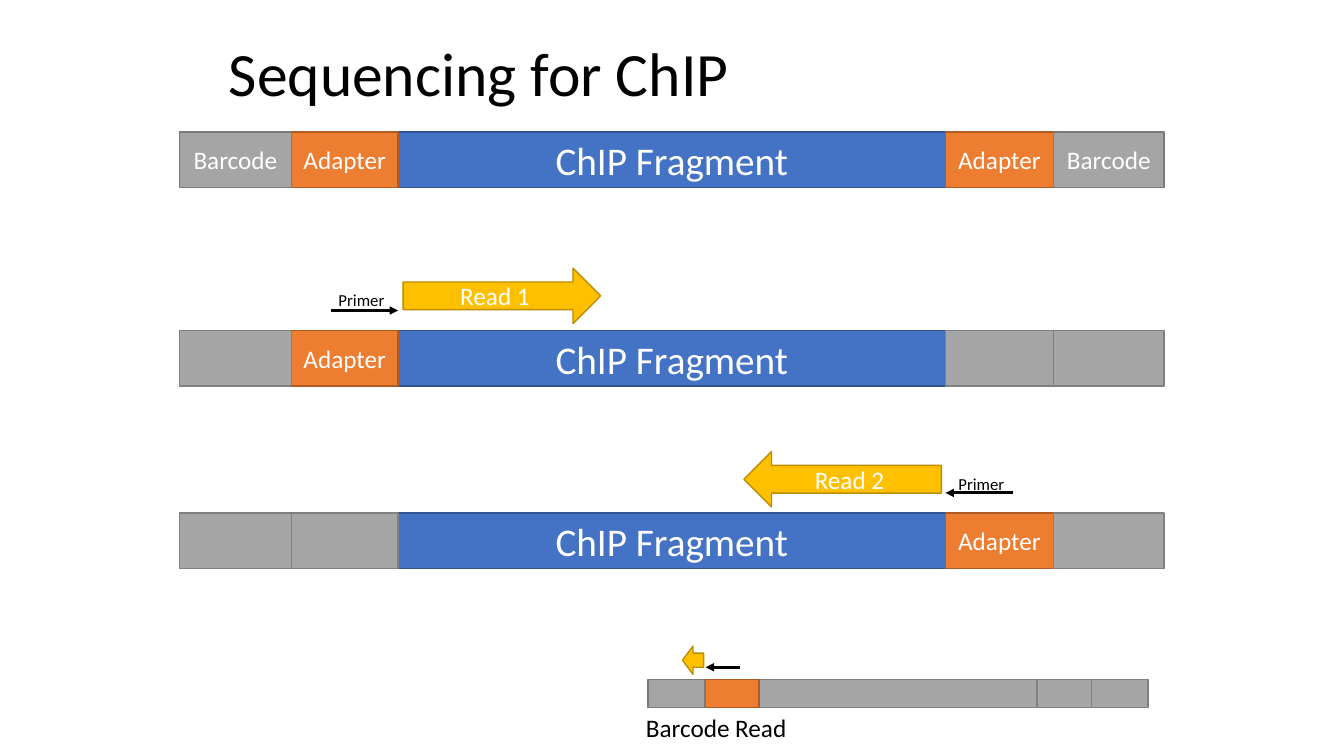
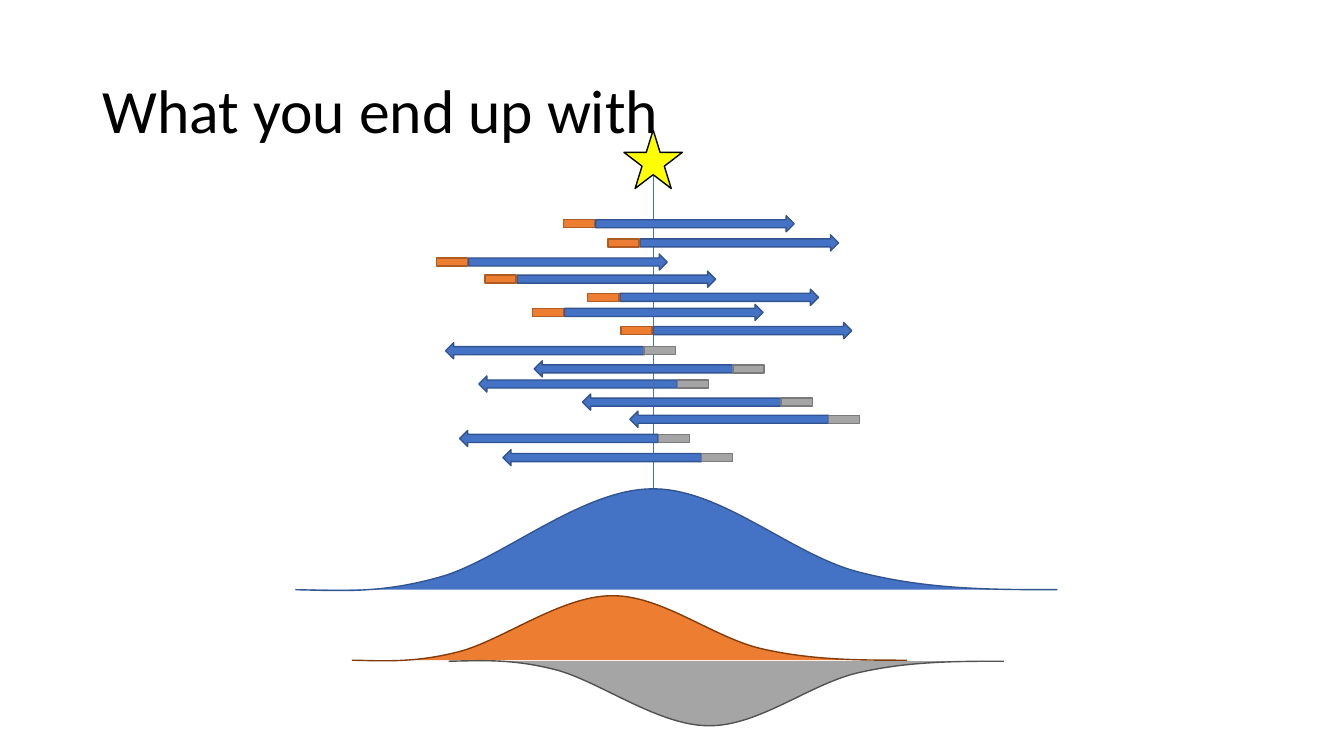
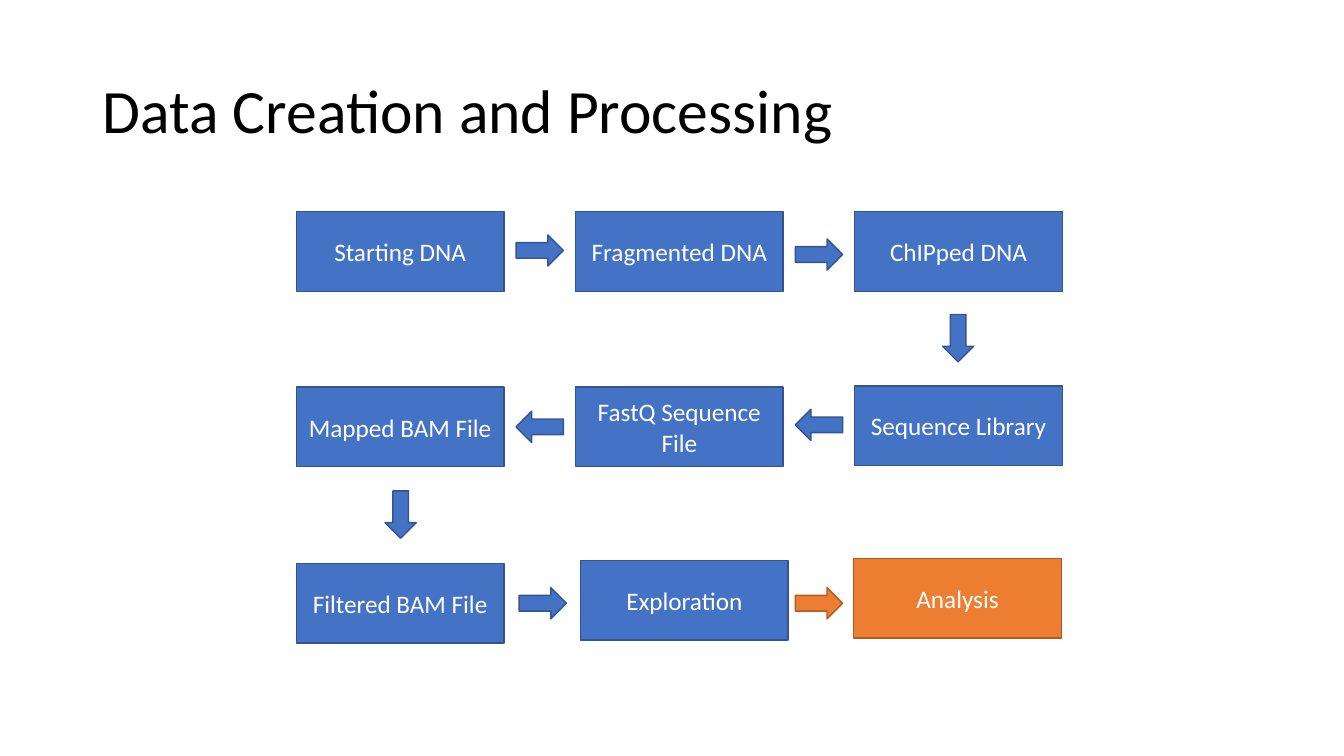
from dataclasses import dataclass
from typing import Any

from lxml.etree import SubElement
from pptx import Presentation
from pptx.dml.color import RGBColor
from pptx.enum.shapes import MSO_CONNECTOR, MSO_SHAPE
from pptx.enum.text import MSO_ANCHOR, MSO_AUTO_SIZE, PP_ALIGN
from pptx.oxml.ns import qn
from pptx.slide import Slide
from pptx.util import Inches, Pt

RECT, RIGHT, LEFT = MSO_SHAPE.RECTANGLE, MSO_SHAPE.RIGHT_ARROW, MSO_SHAPE.LEFT_ARROW
BLACK, WHITE = "000000", "FFFFFF"


@dataclass(frozen=True)
class Tone:
    """Fill and outline colours of a kind of shape."""

    fill: str
    line: str


BLUE = Tone("4472C4", "325491")
ORANGE = Tone("ED7D31", "AF5C24")
GRAY = Tone("A5A5A5", "7A7A7A")
FADED = Tone("A6A6A6", "808080")
GOLD = Tone("FFC000", "BD8E00")
YELLOW = Tone("FFFF00", BLACK)


@dataclass(frozen=True)
class Segment:
    """One piece of a sequenced strand."""

    tone: Tone = FADED
    text: str = ""
    size: int = 18


@dataclass(frozen=True)
class Strand:
    """A row of five segments."""

    left: float
    top: float
    width: float
    height: float
    segments: tuple[Segment, ...]


@dataclass(frozen=True)
class Item:
    """A preset shape with its place, tone and label."""

    left: float
    top: float
    width: float
    height: float
    kind: MSO_SHAPE = RECT
    tone: Tone = BLUE
    text: str = ""
    size: int = 18
    rotation: int = 0


@dataclass(frozen=True)
class Bell:
    """A peak drawn from its left foot; a negative height points down."""

    left: float
    base: float
    width: float
    height: float
    tone: Tone


BARCODE = Segment(GRAY, "Barcode")
ADAPTER = Segment(ORANGE, "Adapter")
FRAGMENT = Segment(BLUE, "ChIP Fragment", 28)
NONE = Segment()
EDGES = (0, 1.11, 2.17, 7.6, 8.67, 9.77)
STRANDS = (
    Strand(1.78, 1.31, 9.77, 0.55, (BARCODE, ADAPTER, FRAGMENT, ADAPTER, BARCODE)),
    Strand(1.78, 3.28, 9.77, 0.55, (NONE, ADAPTER, FRAGMENT, NONE, NONE)),
    Strand(1.78, 5.09, 9.77, 0.55, (NONE, NONE, FRAGMENT, ADAPTER, NONE)),
    Strand(6.43, 6.74, 4.96, 0.28, (Segment(GRAY), Segment(ORANGE), NONE, NONE, NONE)),
)
READ_ARROWS = (
    Item(4, 2.66, 1.96, 0.55, RIGHT, GOLD, "Read 1"),
    Item(7.38, 4.48, 1.96, 0.55, LEFT, GOLD, "Read 2"),
    Item(6.77, 6.41, 0.21, 0.28, LEFT, GOLD),
)
PRIMERS = ((3.28, 3.95, 3.08), (10.05, 9.38, 4.89), (7.34, 7, 6.62))
LABELS = (
    ("Primer", 3.26, 2.83, 0.66, 0.3, 12),
    ("Primer", 9.41, 4.65, 0.66, 0.3, 12),
    ("Barcode Read", 6.31, 7.02, 1.67, 0.4, 18),
)

FORWARD = ((5.91, 2.14), (6.35, 2.33), (4.65, 2.52), (5.13, 2.69),
           (6.15, 2.87), (5.6, 3.02), (6.48, 3.2))
REVERSE = ((4.42, 3.4), (5.3, 3.58), (4.75, 3.73), (5.78, 3.91),
           (6.25, 4.08), (4.56, 4.27), (4.99, 4.46))
CURVE = ((0, 0), (0.46, -0.01), (0.86, -0.04), (1.45, 0.13), (2.04, 0.3),
         (2.85, 1), (3.54, 1), (4.23, 1.01), (4.94, 0.33), (5.61, 0.17),
         (6.28, 0), (6.92, 0), (7.56, 0))
BELLS = (
    Bell(2.93, 5.85, 7.56, 1, BLUE),
    Bell(3.49, 6.55, 5.51, 0.64, Tone("ED7D31", "843C0B")),
    Bell(4.45, 6.56, 5.51, -0.64, Tone("A5A5A5", "525252")),
)

STEPS = (
    ("Starting DNA", 2.94, 2.1, BLUE),
    ("Fragmented DNA", 5.71, 2.1, BLUE),
    ("ChIPped DNA", 8.48, 2.1, BLUE),
    ("Sequence Library", 8.48, 3.83, BLUE),
    ("FastQ Sequence File", 5.71, 3.84, BLUE),
    ("Mapped BAM File", 2.94, 3.84, BLUE),
    ("Filtered BAM File", 2.94, 5.59, BLUE),
    ("Exploration", 5.76, 5.56, BLUE),
    ("Analysis", 8.47, 5.54, ORANGE),
)
FLOW = (
    (5.12, 2.33, RIGHT, BLUE, 0),
    (7.89, 2.37, RIGHT, BLUE, 0),
    (9.27, 3.2, RIGHT, BLUE, 90),
    (7.89, 4.06, LEFT, BLUE, 0),
    (5.12, 4.08, LEFT, BLUE, 0),
    (3.74, 4.95, RIGHT, BLUE, 90),
    (5.15, 5.83, RIGHT, BLUE, 0),
    (7.89, 5.83, RIGHT, ORANGE, 0),
)


def assign(obj: Any, values: dict[str, Any]) -> None:
    """Set each named attribute of an object."""
    for name, value in values.items():
        setattr(obj, name, value)


def paint(fmt: Any, color: str) -> None:
    """Give a fill a solid hex colour."""
    fmt.solid()
    fmt.fore_color.rgb = RGBColor.from_string(color)


def write(tf: Any, text: str, size: int, color: str, frame: dict[str, Any],
          para: dict[str, Any]) -> None:
    """Put one formatted paragraph into a text frame."""
    assign(tf, frame)
    p = tf.paragraphs[0]
    assign(p, para)
    r = p.add_run()
    r.text = text
    assign(r.font, {"size": Pt(size), "name": "Calibri"})
    paint(r.font.fill, color)


def style(sp: Any, tone: Tone) -> None:
    """Apply a tone to a shape without a shadow."""
    sp.shadow.inherit = False
    paint(sp.fill, tone.fill)
    paint(sp.line.fill, tone.line)
    sp.line.width = Pt(1)


def add_item(s: Slide, item: Item) -> None:
    """Draw a preset shape."""
    box = map(Inches, (item.left, item.top, item.width, item.height))
    sp = s.shapes.add_shape(item.kind, *box)
    style(sp, item.tone)
    sp.rotation = item.rotation
    if item.text:
        write(sp.text_frame, item.text, item.size, WHITE,
              {"vertical_anchor": MSO_ANCHOR.MIDDLE}, {"alignment": PP_ALIGN.CENTER})


def add_line(s: Slide, ends: tuple[float, ...], color: str, width: float,
             arrow: bool = False) -> None:
    """Draw a straight line, with an arrowhead at its end if asked."""
    sp = s.shapes.add_connector(MSO_CONNECTOR.STRAIGHT, *map(Inches, ends))
    paint(sp.line.fill, color)
    sp.line.width = Pt(width)
    if arrow:
        SubElement(sp.line._get_or_add_ln(), qn("a:tailEnd"), {"type": "triangle"})
    SubElement(sp._element.spPr, qn("a:effectLst"))


def add_label(s: Slide, text: str, left: float, top: float, width: float,
              height: float, size: int) -> None:
    """Add a plain text label."""
    sp = s.shapes.add_textbox(*map(Inches, (left, top, width, height)))
    write(sp.text_frame, text, size, BLACK,
          {"word_wrap": False, "auto_size": MSO_AUTO_SIZE.SHAPE_TO_FIT_TEXT}, {})


def add_strand(s: Slide, strand: Strand) -> None:
    """Draw the segments of a strand, the middle one at the back."""
    scale = strand.width / EDGES[-1]
    for i in (2, 1, 0, 3, 4):
        seg = strand.segments[i]
        add_item(s, Item(strand.left + EDGES[i] * scale, strand.top,
                         (EDGES[i + 1] - EDGES[i]) * scale, strand.height,
                         RECT, seg.tone, seg.text, seg.size))


def add_bell(s: Slide, bell: Bell) -> None:
    """Draw a peak of four cubic curves with an open baseline."""
    scale = bell.width / CURVE[-1][0]
    start, *points = [(Inches(bell.left + x * scale), Inches(bell.base - y * bell.height))
                      for x, y in CURVE]
    fb = s.shapes.build_freeform(*start)
    fb.add_line_segments(points, close=False)
    sp = fb.convert_to_shape()
    style(sp, bell.tone)
    lines = list(sp._element.iter(qn("a:lnTo")))
    outline = lines[0].getparent()
    for i in range(0, len(lines), 3):
        cubic = SubElement(outline, qn("a:cubicBezTo"))
        for line in lines[i:i + 3]:
            cubic.append(line[0])
            outline.remove(line)


def add_slide(prs: Any, title: str, left: float = 0.92, top: float = 0.4,
              width: float = 11.5, height: float = 1.45) -> Slide:
    """Add a slide with the shared title style."""
    s = prs.slides.add_slide(prs.slide_layouts[5])
    sp = s.shapes.title
    assign(sp, {"left": Inches(left), "top": Inches(top),
                "width": Inches(width), "height": Inches(height)})
    write(sp.text_frame, title, 44, BLACK,
          {"vertical_anchor": MSO_ANCHOR.MIDDLE, "auto_size": MSO_AUTO_SIZE.NONE,
           "word_wrap": True},
          {"alignment": PP_ALIGN.LEFT, "line_spacing": 0.9})
    return s


def sequencing(prs: Any) -> None:
    """Build the slide on strands, primers and reads."""
    s = add_slide(prs, "Sequencing for ChIP", 2.17, 0.13, 9, 1.25)
    for strand in STRANDS:
        add_strand(s, strand)
    for start, end, y in PRIMERS:
        add_line(s, (start, y, end, y), BLACK, 2, arrow=True)
    for label in LABELS:
        add_label(s, *label)
    for arrow in READ_ARROWS:
        add_item(s, arrow)


def peaks(prs: Any) -> None:
    """Build the slide on stacked reads and their peaks."""
    s = add_slide(prs, "What you end up with")
    add_line(s, (6.48, 1.47, 6.48, 5.48), BLUE.fill, 0.5)
    for reads, kind, tone, shift in ((FORWARD, RIGHT, ORANGE, -0.32),
                                     (REVERSE, LEFT, GRAY, 1.97)):
        for x, y in reads:
            add_item(s, Item(x, y, 1.97, 0.16, kind))
            add_item(s, Item(x + shift, y + 0.04, 0.31, 0.08, RECT, tone))
    add_item(s, Item(6.19, 1.29, 0.58, 0.58, MSO_SHAPE.STAR_5_POINT, YELLOW))
    for bell in BELLS:
        add_bell(s, bell)


def processing(prs: Any) -> None:
    """Build the slide on the processing steps."""
    s = add_slide(prs, "Data Creation and Processing")
    for text, x, y, tone in STEPS:
        add_item(s, Item(x, y, 2.06, 0.79, RECT, tone, text))
    for x, y, kind, tone, rotation in FLOW:
        add_item(s, Item(x, y, 0.47, 0.31, kind, tone, rotation=rotation))


def main() -> None:
    """Build and save the presentation."""
    prs = Presentation()
    assign(prs, {"slide_width": Inches(40 / 3), "slide_height": Inches(7.5)})
    for build in (sequencing, peaks, processing):
        build(prs)
    prs.save("out.pptx")


if __name__ == "__main__":
    main()
